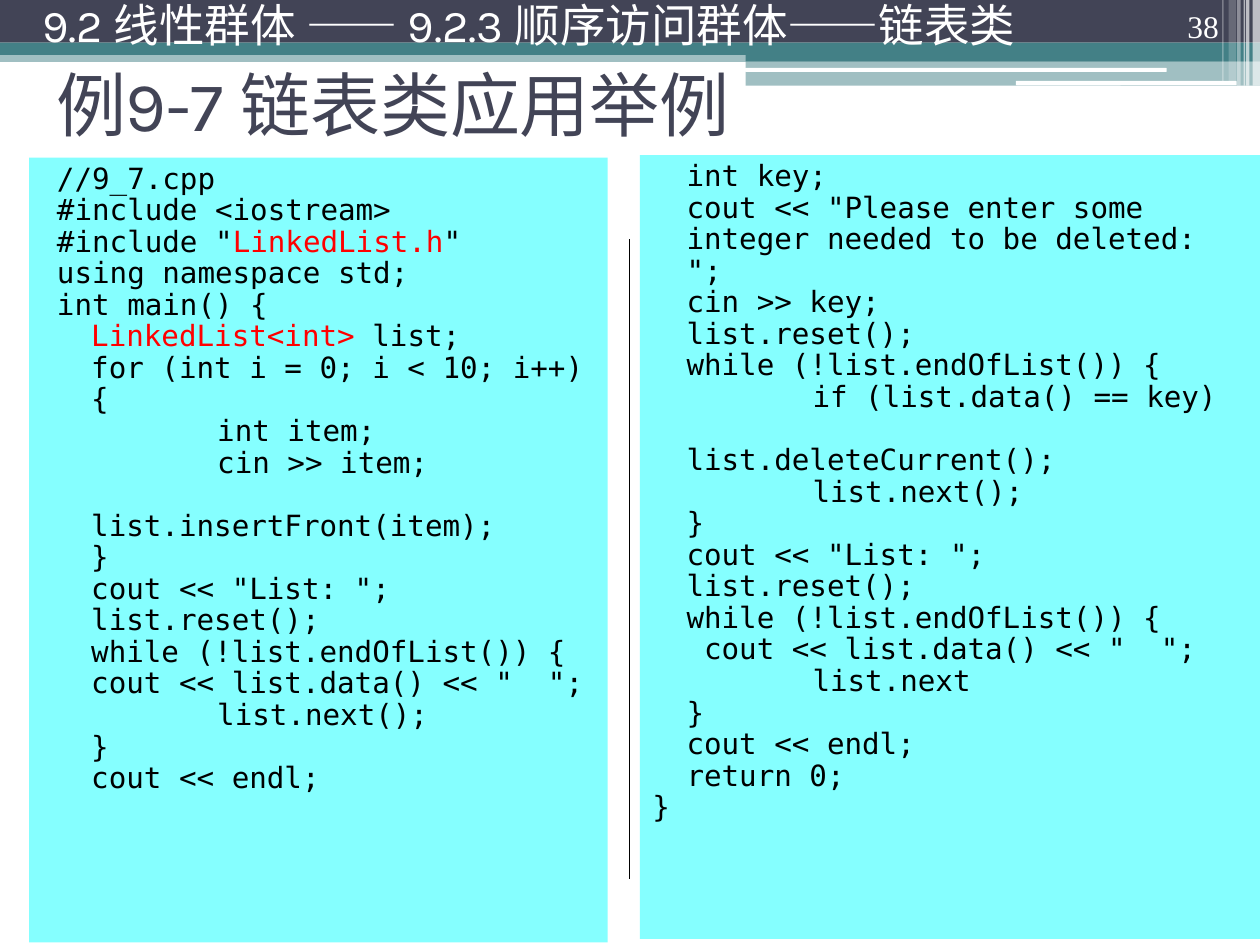
"""Builds the slide on the linked list class example: two code panels under a banded header."""
from lxml import etree
from pptx import Presentation
from pptx.dml.color import RGBColor
from pptx.enum.shapes import MSO_CONNECTOR, MSO_SHAPE
from pptx.enum.text import MSO_ANCHOR, PP_ALIGN
from pptx.oxml.ns import qn
from pptx.util import Cm, Pt

RECT, ROUNDED = MSO_SHAPE.RECTANGLE, MSO_SHAPE.ROUNDED_RECTANGLE
TOP, MIDDLE, BOTTOM = MSO_ANCHOR.TOP, MSO_ANCHOR.MIDDLE, MSO_ANCHOR.BOTTOM
LEFT, RIGHT = PP_ALIGN.LEFT, PP_ALIGN.RIGHT
NAVY = RGBColor(0x42, 0x44, 0x56)
TEAL = RGBColor(0x43, 0x80, 0x86)
CYAN = RGBColor(0x85, 0xFF, 0xFF)
WHITE = RGBColor(0xFF, 0xFF, 0xFF)
BLACK = RGBColor(0, 0, 0)
RED = RGBColor(0xFF, 0, 0)

prs = Presentation()
prs.slide_width, prs.slide_height = Cm(25.4), Cm(19.05)
s = prs.slides.add_slide(prs.slide_layouts[6])


def add_box(x, y, w, h, color, alpha=100, kind=RECT):
    sp = s.shapes.add_shape(kind, Cm(x), Cm(y), Cm(w), Cm(h))
    sp.shadow.inherit = False
    sp.line.fill.background()
    sp.fill.solid()
    sp.fill.fore_color.rgb = color
    if alpha < 100:
        clr = sp.fill._xPr.find(".//" + qn("a:srgbClr"))
        etree.SubElement(clr, qn("a:alpha"), val=str(alpha * 1000))
    return sp


def style(p, font, size, color, align=LEFT, spacing=1.0):
    p.alignment = align
    p.line_spacing = spacing
    p.font.name = font
    p.font.size = Pt(size)
    p.font.color.rgb = color


header_bands = [
    (0, 1.02, 25.4, 0.23, TEAL, 50),
    (0, 0, 25.4, 0.86, NAVY, 100),
    (0, 0.86, 25.4, 0.25, TEAL, 100),
    (15.03, 0.98, 10.37, 0.25, TEAL, 100),
    (15.03, 1.23, 10.37, 0.5, TEAL, 50),
]
for band in header_bands:
    add_box(*band)

for x, y, w, h in [(15.02, 1.37, 8.5, 0.08), (20.48, 1.63, 4.45, 0.09)]:
    add_box(x, y, w, h, WHITE, kind=ROUNDED)

edge_stripes = [
    (25.25, 0.15, 1.73, 65),
    (25.12, 0.07, 1.73, 65),
    (25.07, 0.03, 1.73, 60),
    (24.94, 0.07, 1.73, 40),
    (24.77, 0.15, 1.63, 20),
    (24.64, 0.03, 1.63, 30),
]
for x, w, h, alpha in edge_stripes:
    add_box(x, 0, w, h, WHITE, alpha)

labels = [
    (0.88, 0.6, 22.86, 2.97, "例9-7 链表类应用举例", "Karla", 40, NAVY, MIDDLE, LEFT, 1.0),
    (22.71, 0, 2.11, 1.02, "38", "Times New Roman", 18, WHITE, BOTTOM, RIGHT, 1.0),
    (0.6, 0, 23.11, 1.19, "9.2 线性群体 —— 9.2.3 顺序访问群体——链表类", "Karla", 26, WHITE,
     MIDDLE, LEFT, 0.8),
]
for x, y, w, h, text, font, size, color, anchor, align, spacing in labels:
    tf = s.shapes.add_textbox(Cm(x), Cm(y), Cm(w), Cm(h)).text_frame
    tf.word_wrap = True
    tf.vertical_anchor = anchor
    p = tf.paragraphs[0]
    p.text = text
    style(p, font, size, color, align, spacing)

left_code = """//9_7.cpp
#include <iostream>
#include "|LinkedList.h|"
using namespace std;
int main() {
\t|LinkedList<int> |list;
\tfor (int i = 0; i < 10; i++) {
\t\tint item;
\t\tcin >> item;
\t\tlist.insertFront(item);
\t}
\tcout << "List: ";
\tlist.reset();
\twhile (!list.endOfList()) {
\tcout << list.data() << "  ";
\t\tlist.next();
\t}
\tcout << endl;"""

right_code = """\tint key;
\tcout << "Please enter some integer needed to be deleted: ";
\tcin >> key;
\tlist.reset();
\twhile (!list.endOfList()) {
\t\tif (list.data() == key)
\t\t\tlist.deleteCurrent();
\t\tlist.next();
\t}
\tcout << "List: ";
\tlist.reset();
\twhile (!list.endOfList()) {
\t cout << list.data() << "  ";
\t\tlist.next
\t}
\tcout << endl;
\treturn 0;
}"""

panels = [
    (0.59, 3.18, 11.66, 15.82, 1.0, left_code),
    (12.9, 3.13, 12.5, 15.8, 0.69, right_code),
]
for x, y, w, h, margin, code in panels:
    tf = add_box(x, y, w, h, CYAN).text_frame
    tf.word_wrap = True
    tf.vertical_anchor = TOP
    for i, line in enumerate(code.split("\n")):
        p = tf.add_paragraph() if i else tf.paragraphs[0]
        style(p, "DejaVu Sans Mono", 16.7, BLACK, spacing=0.9)
        pPr = p._p.get_or_add_pPr()
        pPr.set("marL", str(int(Cm(margin))))
        pPr.set("indent", str(int(Cm(-0.69))))
        pPr.set("defTabSz", str(int(Cm(2.54))))
        tabs = etree.Element(qn("a:tabLst"))
        for n in range(1, 8):
            stop = Cm(margin + 2.54 * n)
            etree.SubElement(tabs, qn("a:tab"), pos=str(int(stop)), algn="l")
        pPr.find(qn("a:defRPr")).addprevious(tabs)
        for k, part in enumerate(line.split("|")):
            r = p.add_run()
            r.text = part
            r.font.color.rgb = RED if k % 2 else BLACK

divider = s.shapes.add_connector(MSO_CONNECTOR.STRAIGHT, Cm(12.69), Cm(4.82), Cm(12.69), Cm(17.72))
divider.line.color.rgb = BLACK
divider.line.width = Pt(0.74)
etree.SubElement(divider._element.spPr, qn("a:effectLst"))

prs.save("out.pptx")
